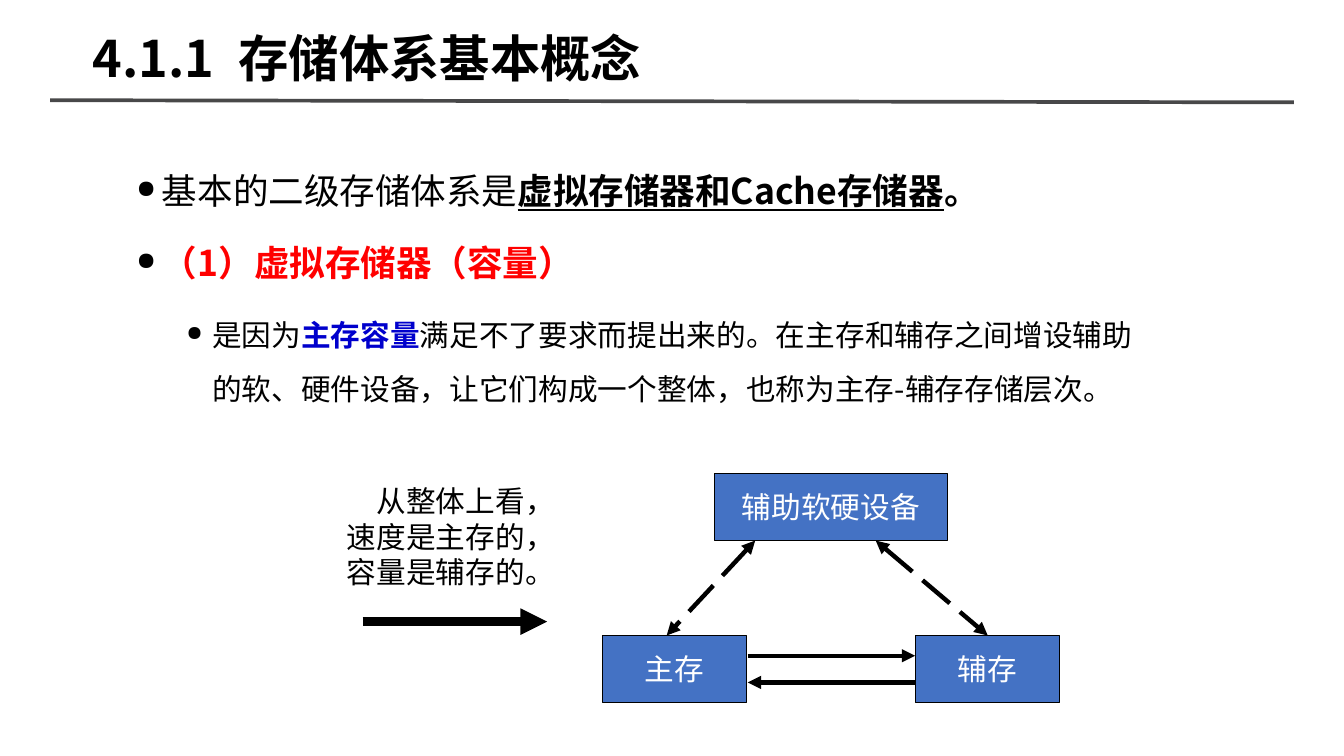
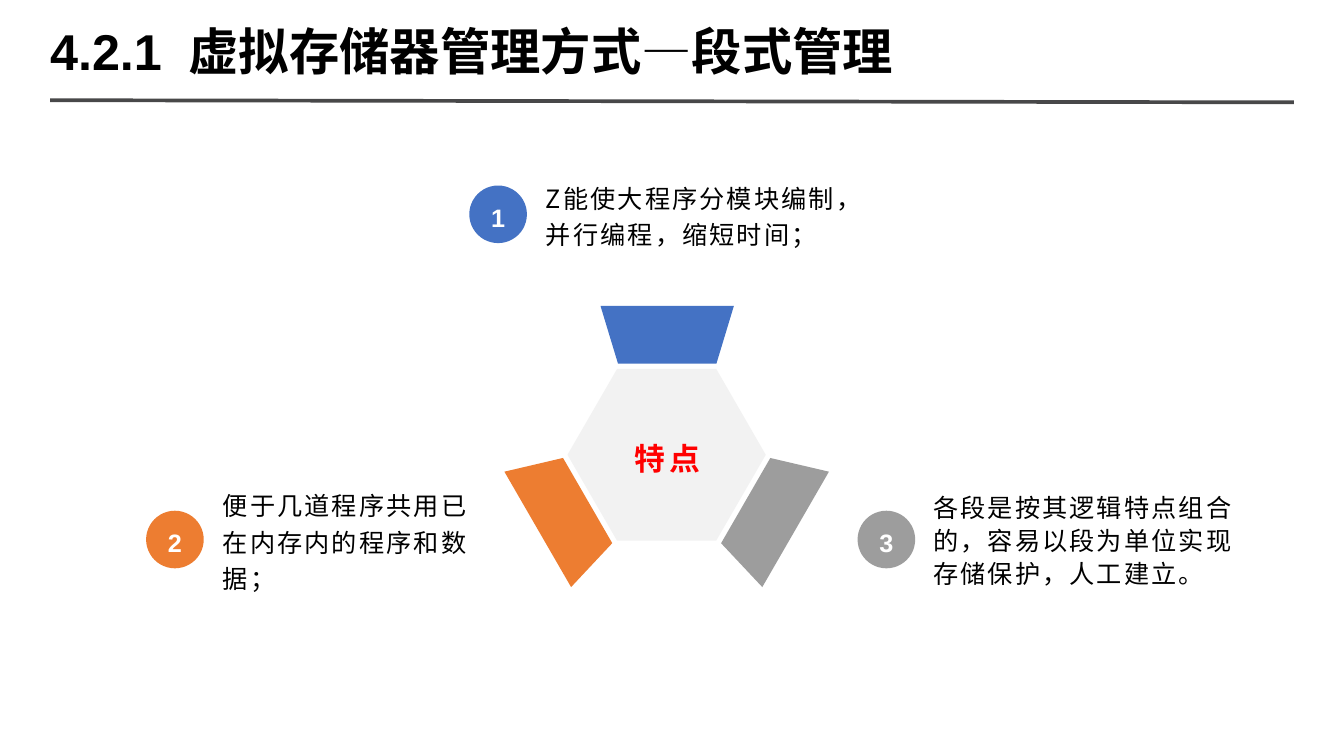
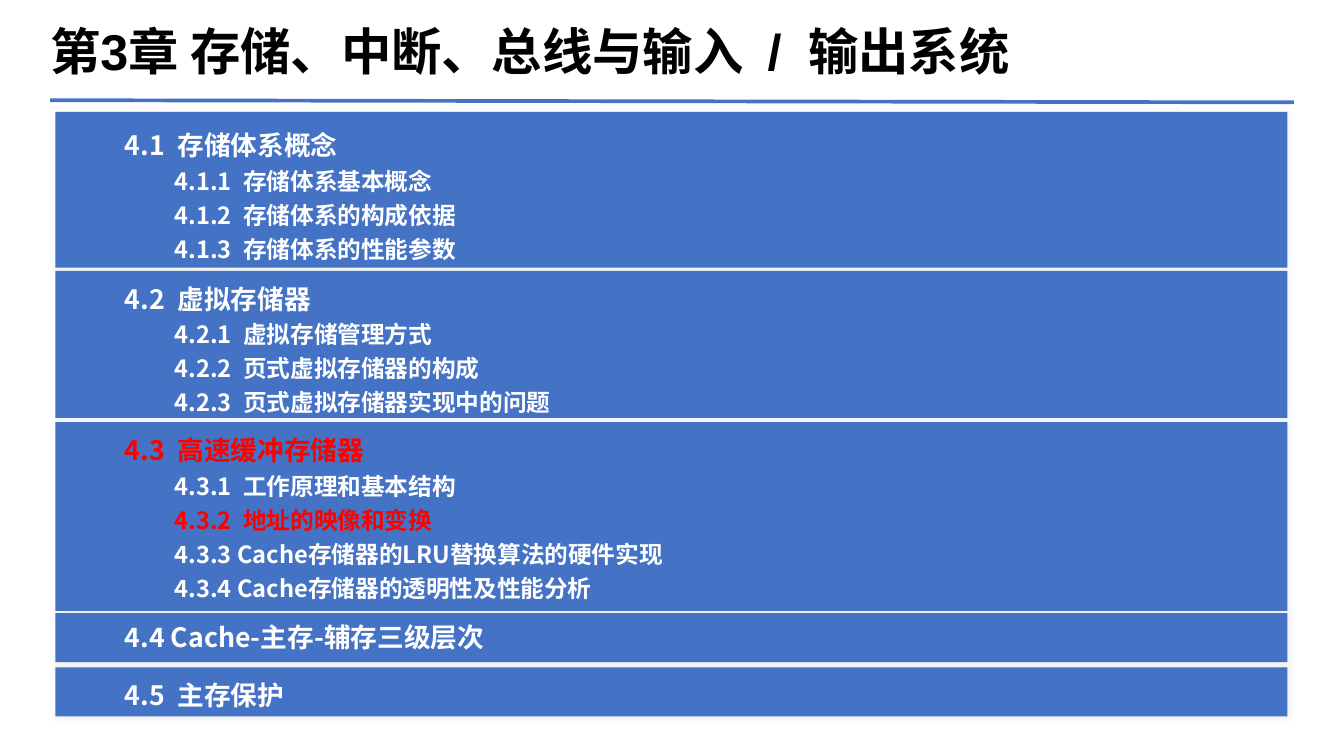
from dataclasses import dataclass
from pptx import Presentation
from pptx.dml.color import RGBColor
from pptx.enum.dml import MSO_LINE_DASH_STYLE as Dash
from pptx.enum.shapes import MSO_CONNECTOR as Connector, MSO_SHAPE as Preset
from pptx.enum.text import MSO_ANCHOR as Anchor, MSO_AUTO_SIZE as AutoSize, PP_ALIGN as Align
from pptx.oxml.xmlchemy import OxmlElement
from pptx.util import Inches, Pt


@dataclass(frozen=True)
class Theme:
    black: str = "000000"
    white: str = "FFFFFF"
    red: str = "FF0000"
    navy: str = "0000CC"
    blue: str = "4472C4"
    orange: str = "ED7D31"
    gray: str = "9D9D9D"
    pale: str = "F2F2F2"
    rule: str = "484849"
    glow: str = "7DADC4"
    plain_glow: str = "808080"
    cjk: str = "Noto Sans CJK SC"
    latin: str = "Arial"
    title: float = 34
    lead: float = 24
    body: float = 20
    center: float = 20.8
    section: float = 18
    note: float = 17
    entry: float = 16


THEME = Theme()


def wide_gap(*parts):
    runs = [(parts[0], {})]
    for part in parts[1:]:
        runs += [(" ", {"wide": True}), (part, {})]
    return runs


CONCEPT_TITLE = wide_gap("4.1.1", "存储体系基本概念")
CONCEPT_BULLETS = [
    ([("基本的二级存储体系是", {}),
      ("虚拟存储器和Cache存储器", {"bold": True, "underline": True}),
      ("。", {"bold": True})],
     {"size": THEME.lead, "indent": 0.24, "line_spacing": 0.9}),
    ([("（1）虚拟存储器（容量）", {"bold": True, "color": THEME.red})],
     {"size": THEME.lead, "indent": 0.24, "line_spacing": 0.9, "before": 17}),
    ([("是因为", {}),
      ("主存容量", {"bold": True, "color": THEME.navy}),
      ("满足不了要求而提出来的。在主存和辅存之间增设辅助的软、硬件设备，"
       "让它们构成一个整体，也称为主存-辅存存储层次。", {})],
     {"size": THEME.body, "indent": 0.71, "line_spacing": 1.5, "before": 4.7}),
]
MEMORY_BOXES = [
    ("主存", 5.65, 5.96, 1.35),
    ("辅存", 8.58, 5.96, 1.35),
    ("辅助软硬设备", 6.7, 4.44, 2.18),
]
MEMORY_ARROWS = [
    ((7.01, 6.15), (8.58, 6.15), {}),
    ((8.58, 6.4), (7.01, 6.4), {}),
    ((7.08, 5.07), (6.25, 5.96), {"head": True, "dashed": True}),
    ((8.21, 5.07), (9.26, 5.96), {"head": True, "dashed": True}),
    ((3.4, 5.83), (5.13, 5.83), {"width": 6}),
]
OVERALL_VIEW = ["从整体上看，", "速度是主存的，", "容量是辅存的。"]

SEGMENT_TITLE = wide_gap("4.2.1", "虚拟存储器管理方式") + [("—", {"bold": False}), ("段式管理", {})]
SEGMENT_FEATURES = [
    {"text": "Z能使大程序分模块编制，并行编程，缩短时间；", "color": THEME.blue,
     "badge": (4.4, 1.74), "note": (5.02, 1.47, 3.25), "wedge": (5.63, 2.87, 180), "spacing": 1.2},
    {"text": "便于几道程序共用已在内存内的程序和数据；", "color": THEME.orange,
     "badge": (1.37, 4.79), "note": (1.99, 4.52, 2.66), "wedge": (4.65, 4.56, 60), "spacing": 1.2},
    {"text": "各段是按其逻辑特点组合的，容易以段为单位实现存储保护，人工建立。", "color": THEME.gray,
     "badge": (8.04, 4.79), "note": (8.65, 4.52, 3.25), "wedge": (6.6, 4.56, 300), "spacing": 1.1},
]

CHAPTER_TITLE = wide_gap("第3章 存储、中断、总线与输入", "/", "输出系统")
CHAPTER_SECTIONS = [
    (1.05, 1.46, 1.1, THEME.glow, [
        wide_gap("4.1", "存储体系概念"),
        wide_gap("4.1.1", "存储体系基本概念"),
        wide_gap("4.1.2", "存储体系的构成依据"),
        wide_gap("4.1.3", "存储体系的性能参数")]),
    (2.54, 1.38, 2.54, THEME.glow, [
        wide_gap("4.2", "虚拟存储器"),
        wide_gap("4.2.1", "虚拟存储管理方式"),
        wide_gap("4.2.2", "页式虚拟存储器的构成"),
        wide_gap("4.2.3", "页式虚拟存储器实现中的问题")]),
    (3.96, 1.77, 3.96, THEME.glow, [
        wide_gap("4.3", "高速缓冲存储器"),
        wide_gap("4.3.1", "工作原理和基本结构"),
        wide_gap("4.3.2", "地址的映像和变换"),
        "4.3.3 Cache存储器的LRU替换算法的硬件实现",
        "4.3.4 Cache存储器的透明性及性能分析"]),
    (5.75, 0.46, 5.71, THEME.plain_glow, ["4.4 Cache-主存-辅存三级层次"]),
    (6.26, 0.46, 6.26, THEME.plain_glow, [wide_gap("4.5", "主存保护")]),
]
CURRENT_ENTRIES = ("4.3", "4.3.2")


def add_element(parent, tag, **attributes):
    element = OxmlElement(tag)
    for name, value in attributes.items():
        element.set(name, str(value))
    parent.append(element)
    return element


def write(paragraph, text, size, color=THEME.black, font=THEME.cjk, bold=False, underline=False,
          tracking=0, align=Align.LEFT, line_spacing=1.0, before=0, after=0, indent=0, bullet=False):
    if indent:
        properties = paragraph._p.get_or_add_pPr()
        properties.set("marL", str(Inches(indent)))
        properties.set("indent", str(Inches(-0.24) if bullet else 0))
        if bullet:
            bullet_color = add_element(properties, "a:buClr")
            add_element(bullet_color, "a:srgbClr", val=THEME.black)
            add_element(properties, "a:buSzPct", val=70000)
            add_element(properties, "a:buChar", char="●")
    paragraph.alignment = align
    paragraph.line_spacing = line_spacing
    paragraph.space_before, paragraph.space_after = Pt(before), Pt(after)
    for words, changes in [(text, {})] if isinstance(text, str) else text:
        run = paragraph.add_run()
        run.text = words
        run.font.size = Pt(size)
        run.font.name = font
        run.font.bold = changes.get("bold", bold)
        run.font.underline = changes.get("underline", underline)
        run.font.color.rgb = RGBColor.from_string(changes.get("color", color))
        run_properties = run._r.get_or_add_rPr()
        add_element(run_properties, "a:ea", typeface=THEME.cjk)
        spacing = size * 0.25 if changes.get("wide") else tracking
        if spacing:
            run_properties.set("spc", str(round(spacing * 100)))


def write_all(frame, entries, anchor=Anchor.TOP, wrap=True, margin=None):
    frame.word_wrap = wrap
    frame.auto_size = AutoSize.NONE
    frame.vertical_anchor = anchor
    if margin is not None:
        frame.margin_left = frame.margin_right = frame.margin_top = frame.margin_bottom = Inches(margin)
    for number, (text, style) in enumerate(entries):
        paragraph = frame.add_paragraph() if number else frame.paragraphs[0]
        write(paragraph, text, **style)


def add_text(slide, box, entries, **frame_style):
    shape = slide.shapes.add_textbox(*map(Inches, box))
    write_all(shape.text_frame, entries, **frame_style)


def add_block(slide, preset, box, fill, outline=None, rotation=0):
    shape = slide.shapes.add_shape(preset, *map(Inches, box))
    shape.shadow.inherit = False
    shape.rotation = rotation
    shape.fill.solid()
    shape.fill.fore_color.rgb = RGBColor.from_string(fill)
    if outline:
        shape.line.color.rgb = RGBColor.from_string(outline)
        shape.line.width = Pt(0.75)
    else:
        shape.line.fill.background()
    return shape


def add_line(slide, start, end, color=THEME.black, width=3, head=False, tail=True, dashed=False):
    connector = slide.shapes.add_connector(Connector.STRAIGHT, *map(Inches, start + end))
    connector.line.color.rgb = RGBColor.from_string(color)
    connector.line.width = Pt(width)
    if dashed:
        connector.line.dash_style = Dash.LONG_DASH
    line = connector.line._get_or_add_ln()
    for tag, shown in (("a:headEnd", head), ("a:tailEnd", tail)):
        if shown:
            add_element(line, tag, type="triangle")
    add_element(connector._element.spPr, "a:effectLst")


def add_glow(shape, color):
    effects = shape._element.spPr.find(
        "{http://schemas.openxmlformats.org/drawingml/2006/main}effectLst")
    shadow = add_element(effects, "a:outerShdw", blurRad=Pt(5), dist=0, dir=0, rotWithShape=0)
    shadow_color = add_element(shadow, "a:srgbClr", val=color)
    add_element(shadow_color, "a:alpha", val=15000)


def start_slide(presentation, title, box=(0.47, 0.16, 11.65, 0.63), rule=THEME.rule,
                font=THEME.latin, margin=0, line_spacing=1.0):
    slide = presentation.slides.add_slide(presentation.slide_layouts[5])
    heading = slide.shapes.title
    heading.left, heading.top, heading.width, heading.height = map(Inches, box)
    style = {"size": THEME.title, "font": font, "bold": True, "line_spacing": line_spacing}
    write_all(heading.text_frame, [(title, style)], anchor=Anchor.MIDDLE, margin=margin)
    add_line(slide, (0.47, 0.94), (12.13, 0.96), color=rule, width=2.5, tail=False)
    return slide


def build_concept(presentation):
    slide = start_slide(presentation, CONCEPT_TITLE, box=(0.77, 0.26, 8.11, 0.63),
                        font=THEME.cjk, margin=None, line_spacing=0.9)
    bullets = [(text, {**style, "bullet": True, "after": 5.7}) for text, style in CONCEPT_BULLETS]
    add_text(slide, (1.18, 1.58, 9.54, 2.57), bullets)
    for label, left, top, width in MEMORY_BOXES:
        block = add_block(slide, Preset.RECTANGLE, (left, top, width, 0.63), THEME.blue, THEME.black)
        style = {"size": THEME.body, "color": THEME.white, "align": Align.CENTER}
        write_all(block.text_frame, [(label, style)], anchor=Anchor.MIDDLE, wrap=False)
    for start, end, style in MEMORY_ARROWS:
        add_line(slide, start, end, **style)
    style = {"size": THEME.body, "align": Align.RIGHT}
    add_text(slide, (3.13, 4.48, 2.17, 1.11), [(text, style) for text in OVERALL_VIEW], wrap=False)


def build_segments(presentation):
    slide = start_slide(presentation, SEGMENT_TITLE)
    hexagon = add_block(slide, Preset.HEXAGON, (5.32, 3.46, 1.86, 1.61), THEME.pale, rotation=300)
    hexagon.adjustments[0], hexagon.adjustments[1] = 0.289, 1.155
    for number, feature in enumerate(SEGMENT_FEATURES, 1):
        left, top, rotation = feature["wedge"]
        wedge = add_block(slide, Preset.TRAPEZOID, (left, top, 1.25, 0.54), feature["color"],
                          rotation=rotation)
        wedge.adjustments[0] = 0.303
        note_style = {"size": THEME.note, "tracking": 1.4, "line_spacing": feature["spacing"]}
        add_text(slide, feature["note"] + (1.07,), [(feature["text"], note_style)],
                 anchor=Anchor.MIDDLE)
        badge = add_block(slide, Preset.OVAL, feature["badge"] + (0.54, 0.54), feature["color"])
        badge_style = {"size": THEME.note, "tracking": 1.4, "line_spacing": 1.2, "bold": True,
                       "font": THEME.latin, "color": THEME.white, "align": Align.CENTER}
        write_all(badge.text_frame, [(str(number), badge_style)], anchor=Anchor.MIDDLE)
    center_style = {"size": THEME.center, "tracking": 2.8, "line_spacing": 1.2, "bold": True,
                    "font": THEME.latin, "color": THEME.red, "align": Align.CENTER}
    add_text(slide, (5.7, 3.72, 1.11, 1.09), [("特点", center_style)], anchor=Anchor.MIDDLE)


def build_chapter(presentation):
    slide = start_slide(presentation, CHAPTER_TITLE, rule=THEME.blue)
    for top, height, text_top, glow, entries in CHAPTER_SECTIONS:
        band = add_block(slide, Preset.RECTANGLE, (0.52, top, 11.55, height), THEME.blue)
        add_glow(band, glow)
        styled = []
        for position, text in enumerate(entries):
            current = text[0][0] in CURRENT_ENTRIES
            styled.append((text, {
                "size": THEME.entry if position else THEME.section,
                "indent": 0.47 if position else 0,
                "color": THEME.red if current else THEME.white,
                "bold": True, "line_spacing": 1.2}))
        add_text(slide, (1.07, text_top, 6.31, height), styled)


def main():
    presentation = Presentation()
    presentation.slide_width, presentation.slide_height = Inches(12.6), Inches(7.09)
    for build in (build_concept, build_segments, build_chapter):
        build(presentation)
    presentation.save("out.pptx")


if __name__ == "__main__":
    main()
